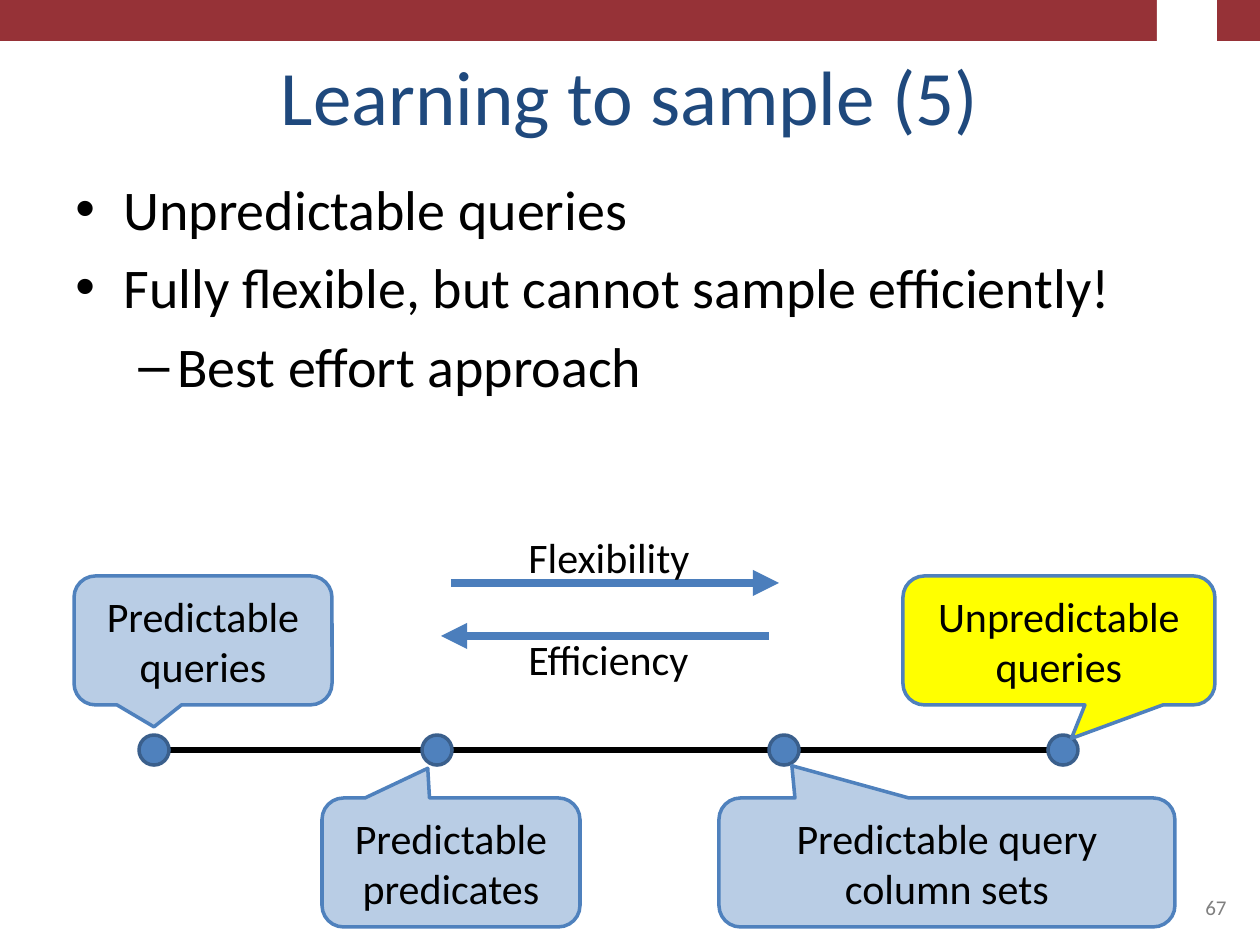
from lxml import etree
from pptx import Presentation
from pptx.dml.color import RGBColor
from pptx.enum.shapes import MSO_CONNECTOR, MSO_SHAPE
from pptx.enum.text import MSO_ANCHOR, PP_ALIGN
from pptx.oxml.ns import qn
from pptx.util import Emu, Pt

RECT, OVAL = MSO_SHAPE.RECTANGLE, MSO_SHAPE.OVAL
CALLOUT = MSO_SHAPE.ROUNDED_RECTANGULAR_CALLOUT
STRAIGHT = MSO_CONNECTOR.STRAIGHT
LEFT, CENTER, RIGHT = PP_ALIGN.LEFT, PP_ALIGN.CENTER, PP_ALIGN.RIGHT
TOP, MIDDLE, BOTTOM = MSO_ANCHOR.TOP, MSO_ANCHOR.MIDDLE, MSO_ANCHOR.BOTTOM


def px(n):
    return Emu(round(n * 914400 / 126))


def rgb(value):
    return RGBColor.from_string(value)


class Deck:
    font = "Calibri"
    black, white, red, navy, grey = "000000", "FFFFFF", "963237", "1F497D", "808080"
    blue, rim, arrow = "4F81BD", "3A5F8C", "4B7EBC"
    pale, yellow = "B9CDE5", "FFFF00"

    def __init__(self, width, height):
        self.prs = Presentation()
        self.prs.slide_width, self.prs.slide_height = px(width), px(height)
        self.s = self.prs.slides.add_slide(self.prs.slide_layouts[6])

    def label(self, p, text, size, color):
        r = p.add_run()
        r.text = text
        for name, value in {"name": self.font, "size": Pt(size)}.items():
            setattr(r.font, name, value)
        r.font.color.rgb = rgb(color)

    def frame(self, box, wrap=True, anchor=TOP):
        tf = self.s.shapes.add_textbox(*map(px, box)).text_frame
        for name, value in {"word_wrap": wrap, "vertical_anchor": anchor}.items():
            setattr(tf, name, value)
        return tf

    def text(self, box, text, size, color, align=LEFT, anchor=TOP, wrap=True):
        p = self.frame(box, wrap, anchor).paragraphs[0]
        p.alignment = align
        self.label(p, text, size, color)

    def bullets(self, box, items, size):
        tf = self.frame(box)
        styles = [("•", 48, 48), ("–", 102, 39)]
        for i, (level, text) in enumerate(items):
            p = tf.add_paragraph() if i else tf.paragraphs[0]
            mark, margin, hang = styles[level]
            pPr = p._p.get_or_add_pPr()
            pPr.set("marL", str(px(margin)))
            pPr.set("indent", str(-px(hang)))
            etree.SubElement(pPr, qn("a:buFont")).set("typeface", "Arial")
            etree.SubElement(pPr, qn("a:buChar")).set("char", mark)
            p.level = level
            p.space_before = Pt(size * 0.2 if i else 0)
            self.label(p, text, size, self.black)

    def shape(self, kind, box, fill, line=None):
        sp = self.s.shapes.add_shape(kind, *map(px, box))
        sp.shadow.inherit = False
        sp.fill.solid()
        sp.fill.fore_color.rgb = rgb(fill)
        if line:
            sp.line.color.rgb = rgb(line)
            sp.line.width = Pt(2)
        else:
            sp.line.fill.background()
        return sp

    def callout(self, box, text, fill, tip):
        sp = self.shape(CALLOUT, box, fill, self.blue)
        for i, value in enumerate(tip):
            sp.adjustments[i] = value
        tf = sp.text_frame
        tf.word_wrap, tf.vertical_anchor = True, MIDDLE
        p = tf.paragraphs[0]
        p.alignment = CENTER
        self.label(p, text, 24, self.black)

    def line(self, x1, x2, y, color, width, head=False):
        c = self.s.shapes.add_connector(STRAIGHT, px(x1), px(y), px(x2), px(y))
        c.line.color.rgb = rgb(color)
        c.line.width = Pt(width)
        spPr = c._element.spPr
        if head:
            ln = spPr.find(qn("a:ln"))
            etree.SubElement(ln, qn("a:tailEnd")).set("type", "triangle")
        etree.SubElement(spPr, qn("a:effectLst"))


def main():
    d = Deck(1260, 945)
    d.shape(RECT, (0, 0, 1260, 41), d.red)
    d.shape(RECT, (1157, 0, 60, 41), d.white)
    d.text((63, 38, 1134, 109), "Learning to sample (5)", 44, d.navy, CENTER, BOTTOM)
    d.bullets((63, 168, 1134, 348), [
        (0, "Unpredictable queries"),
        (0, "Fully flexible, but cannot sample efficiently!"),
        (1, "Best effort approach"),
    ], 32)
    d.text((903, 861, 336, 65), "67", 12, d.grey, RIGHT, BOTTOM)

    axis, dot = 750, 30
    centers = [154, 437, 784, 1063]
    d.line(centers[0], centers[-1], axis, d.black, 4)
    for x in centers:
        d.shape(OVAL, (x - dot // 2, axis - dot // 2, dot, dot), d.blue, d.rim)

    upper, lower, height = 576, 798, 129
    for x, y, width, text, fill, tip in [
        (74, upper, 258, "Predictable queries", d.pale, (-0.19, 0.67)),
        (903, upper, 312, "Unpredictable queries", d.yellow, (0.04, 0.76)),
        (322, lower, 258, "Predictable predicates", d.pale, (-0.09, -0.73)),
        (719, lower, 456, "Predictable query column sets", d.pale, (-0.34, -0.75)),
    ]:
        d.callout((x, y, width, height), text, fill, tip)

    for x1, x2, y, name, top in [
        (451, 779, 583, "Flexibility", 525),
        (769, 441, 636, "Efficiency", 627),
    ]:
        d.line(x1, x2, y, d.arrow, 5, head=True)
        d.text((516, top, 188, 63), name, 24, d.black, wrap=False)
    d.prs.save("out.pptx")


if __name__ == "__main__":
    main()
